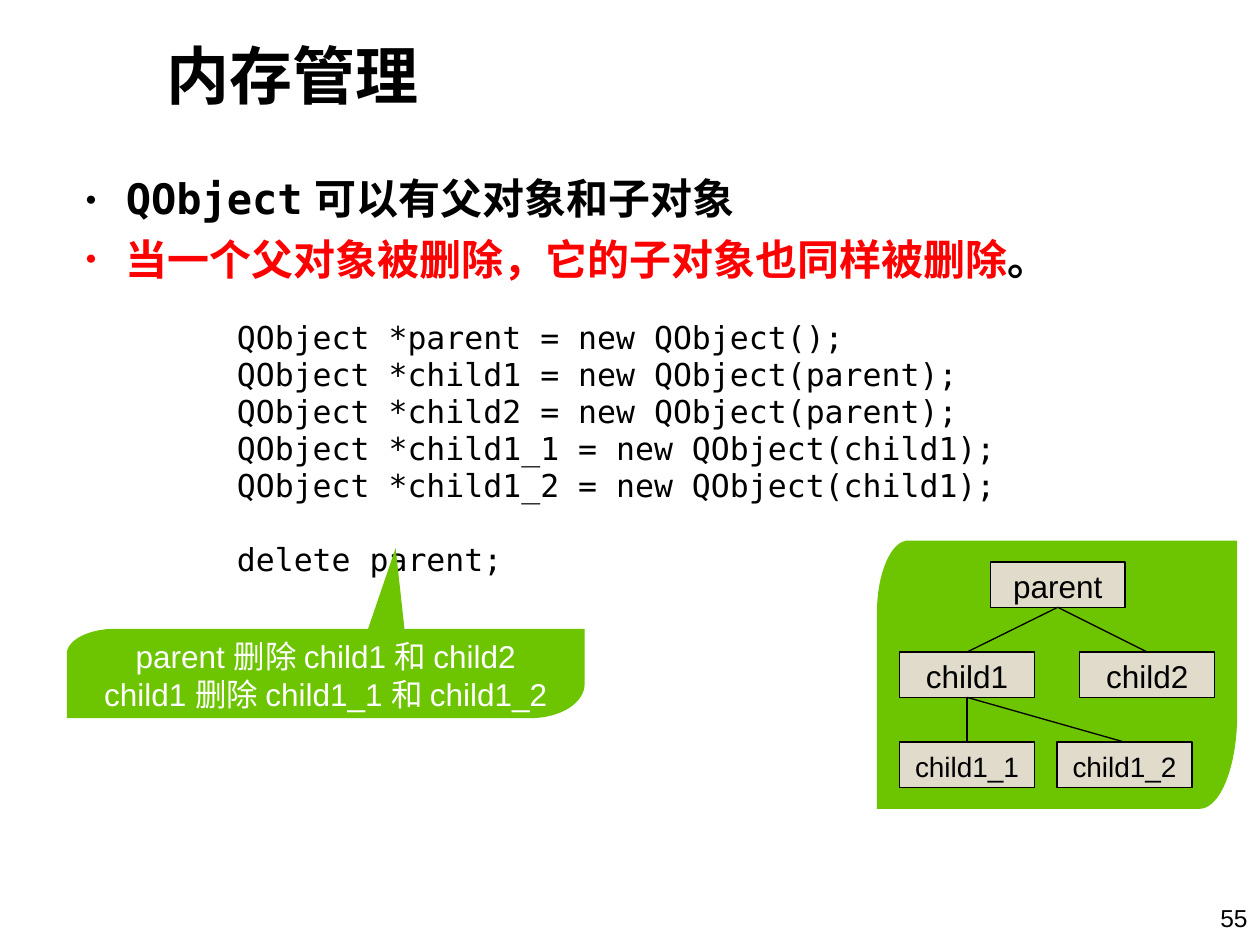
"""Build a slide on memory management through parent and child objects."""
from dataclasses import dataclass
from math import cos, pi, sin

from lxml import etree
from pptx import Presentation
from pptx.dml.color import RGBColor
from pptx.enum.shapes import MSO_CONNECTOR, MSO_SHAPE
from pptx.enum.text import MSO_ANCHOR, PP_ALIGN
from pptx.oxml.ns import qn
from pptx.util import Inches, Pt

STRAIGHT = MSO_CONNECTOR.STRAIGHT
ROUND = MSO_SHAPE.ROUNDED_RECTANGLE
MIDDLE, TOP = MSO_ANCHOR.MIDDLE, MSO_ANCHOR.TOP
LEFT, CENTER, RIGHT = PP_ALIGN.LEFT, PP_ALIGN.CENTER, PP_ALIGN.RIGHT
BOTTOM_SIDE, TOP_SIDE = 2, 0


@dataclass(frozen=True)
class Theme:
    """Hold the colours, fonts and type sizes."""
    black: str = "000000"
    white: str = "FFFFFF"
    red: str = "FF0000"
    green: str = "6DC400"
    sand: str = "E0DBCA"
    sans: str = "Arial"
    mono: str = "DejaVu Sans Mono"
    title: int = 36
    body: int = 24
    code: int = 18
    leaf: int = 16
    page: int = 14


THEME = Theme()


def apply(item, values):
    """Set each named value on an item."""
    for name, value in values.items():
        setattr(item, name, value)


def add_run(para, text, size, color=THEME.black, name=THEME.sans, bold=False):
    """Add a styled run to a paragraph."""
    run = para.add_run()
    run.text = text
    apply(run.font, dict(size=Pt(size), name=name, bold=bold))
    run.font.color.rgb = RGBColor.from_string(color)


def set_frame(frame, insets, anchor=TOP):
    """Set the margins, anchor and wrapping of a text frame."""
    sides = ("margin_left", "margin_top", "margin_right", "margin_bottom")
    apply(frame, dict(zip(sides, map(Inches, insets))))
    apply(frame, dict(vertical_anchor=anchor, word_wrap=True))


def add_lines(frame, lines, size, align=LEFT, **style):
    """Write one paragraph for each line and return them."""
    paras = []
    for i, line in enumerate(lines):
        para = frame.add_paragraph() if i else frame.paragraphs[0]
        para.alignment = align
        add_run(para, line, size, **style)
        paras.append(para)
    return paras


def add_box(slide, box, insets, anchor=TOP):
    """Add an empty text box and return its frame."""
    frame = slide.shapes.add_textbox(*map(Inches, box)).text_frame
    set_frame(frame, insets, anchor)
    return frame


def add_outline(slide, points):
    """Add a closed green shape through points in inches."""
    spots = [(Inches(x), Inches(y)) for x, y in points]
    pen = slide.shapes.build_freeform(*spots[0])
    pen.add_line_segments(spots[1:], close=True)
    shape = pen.convert_to_shape()
    shape.shadow.inherit = False
    shape.fill.solid()
    shape.fill.fore_color.rgb = RGBColor.from_string(THEME.green)
    shape.line.fill.background()
    return shape


def add_leaf(slide, box, first, last):
    """Add a box with its top left and bottom right corners rounded."""
    x, y, w, h = box

    def arc(mx, my, radii, start):
        """Give the points of a quarter ellipse."""
        turns = [start + pi / 2 * i / 16 for i in range(17)]
        return [(mx + radii[0] * cos(t), my + radii[1] * sin(t)) for t in turns]

    head = arc(x + first[0], y + first[1], first, pi)
    tail = arc(x + w - last[0], y + h - last[1], last, 0)
    return add_outline(slide, head + [(x + w, y)] + tail + [(x, y + h)])


def add_title(slide, box):
    """Place the slide title."""
    frame = add_box(slide, box, (0.1, 0.04, 0.1, 0.05), MIDDLE)
    add_lines(frame, ["内存管理"], THEME.title, bold=True)


def add_points(slide, box):
    """Place the two bulleted statements."""
    frame = add_box(slide, box, (0.1, 0.01, 0.1, 0.05))
    rows = [
        [("QObject", THEME.black, THEME.mono),
         (" 可以有父对象和子对象", THEME.black, THEME.sans)],
        [("当一个父对象被删除，它的子对象也同样被删除", THEME.red, THEME.sans),
         ("。", THEME.black, THEME.sans)],
    ]
    bullet = [("buSzPct", "val", "45000"), ("buFont", "typeface", THEME.sans),
              ("buChar", "char", "●")]
    for i, row in enumerate(rows):
        para = frame.add_paragraph() if i else frame.paragraphs[0]
        props = para._p.get_or_add_pPr()
        props.set("marL", str(Inches(0.43)))
        props.set("indent", str(Inches(-0.32)))
        for tag, key, value in bullet:
            etree.SubElement(props, qn(f"a:{tag}")).set(key, value)
        apply(para, dict(space_before=Pt(5 * i), line_spacing=(0.98, 1.0)[i]))
        for text, color, name in row:
            add_run(para, text, THEME.body, color, name, True)


def add_code(slide, box):
    """Place the code sample with a gap before its last line."""
    frame = add_box(slide, box, (0.09, 0.05, 0.09, 0.04))
    lines = [
        "QObject *parent = new QObject();",
        "QObject *child1 = new QObject(parent);",
        "QObject *child2 = new QObject(parent);",
        "QObject *child1_1 = new QObject(child1);",
        "QObject *child1_2 = new QObject(child1);",
        "delete parent;",
    ]
    paras = add_lines(frame, lines, THEME.code, name=THEME.mono)
    for para in paras:
        para.line_spacing = 0.98
    paras[-1].space_before = Pt(21)


def add_note(slide, box):
    """Place the callout and its pointer to the delete line."""
    x, y = box[:2]
    tip = [(2.33, 0.18), (2.61, -0.64), (2.68, 0)]
    add_outline(slide, [(x + dx, y + dy) for dx, dy in tip])
    leaf = add_leaf(slide, box, (0.39, 0.2), (0.43, 0.27))
    set_frame(leaf.text_frame, (0.11, 0.08, 0.11, 0.06), MIDDLE)
    lines = ["parent 删除 child1 和 child2", "child1 删除 child1_1 和 child1_2"]
    add_lines(leaf.text_frame, lines, THEME.code, CENTER, color=THEME.white)


def add_node(slide, box, text, size):
    """Add one labelled box of the tree."""
    node = slide.shapes.add_shape(ROUND, *map(Inches, box))
    node.adjustments[0] = 0
    node.shadow.inherit = False
    node.fill.solid()
    node.fill.fore_color.rgb = RGBColor.from_string(THEME.sand)
    node.line.color.rgb = RGBColor.from_string(THEME.black)
    node.line.width = Pt(0.75)
    set_frame(node.text_frame, (0.09, 0.06, 0.09, 0.04), MIDDLE)
    add_lines(node.text_frame, [text], size, CENTER)
    return node


def add_tree(slide, box):
    """Place the object tree on its green panel."""
    add_leaf(slide, box, (0.25, 0.58), (0.3, 0.75))
    x, y = box[:2]
    parts = [
        ("parent", 0.9, 0, THEME.code, None),
        ("child1", 0.18, 1, THEME.code, "parent"),
        ("child2", 1.61, 1, THEME.code, "parent"),
        ("child1_1", 0.18, 2, THEME.leaf, "child1"),
        ("child1_2", 1.43, 2, THEME.leaf, "child1"),
    ]
    nodes = {}
    for name, dx, level, size, owner in parts:
        spot = (x + dx, y + 0.17 + 0.715 * level, 1.07, 0.36)
        nodes[name] = add_node(slide, spot, name, size)
        if owner:
            link = slide.shapes.add_connector(STRAIGHT, 0, 0, 0, 0)
            link.begin_connect(nodes[name], TOP_SIDE)
            link.end_connect(nodes[owner], BOTTOM_SIDE)
            link.line.color.rgb = RGBColor.from_string(THEME.black)
            link.line.width = Pt(0.75)
            etree.SubElement(link._element.spPr, qn("a:effectLst"))


def add_page(slide, box):
    """Place the page number."""
    frame = add_box(slide, box, (0.1, 0.05, 0.1, 0.05))
    add_lines(frame, ["55"], THEME.page, RIGHT)


def main():
    """Build and save the slide."""
    deck = Presentation()
    apply(deck, dict(slide_width=Inches(10), slide_height=Inches(7.5)))
    slide = deck.slides.add_slide(deck.slide_layouts[6])
    add_title(slide, (1.22, -0.03, 6.5, 1.25))
    add_points(slide, (0.47, 1.38, 9, 4.86))
    add_code(slide, (1.79, 2.49, 6.3, 1.93))
    add_tree(slide, (6.96, 4.29, 2.86, 2.13))
    add_note(slide, (0.53, 4.99, 4.11, 0.71))
    add_page(slide, (8.39, 7.12, 1.61, 0.37))
    deck.save("out.pptx")


if __name__ == "__main__":
    main()
